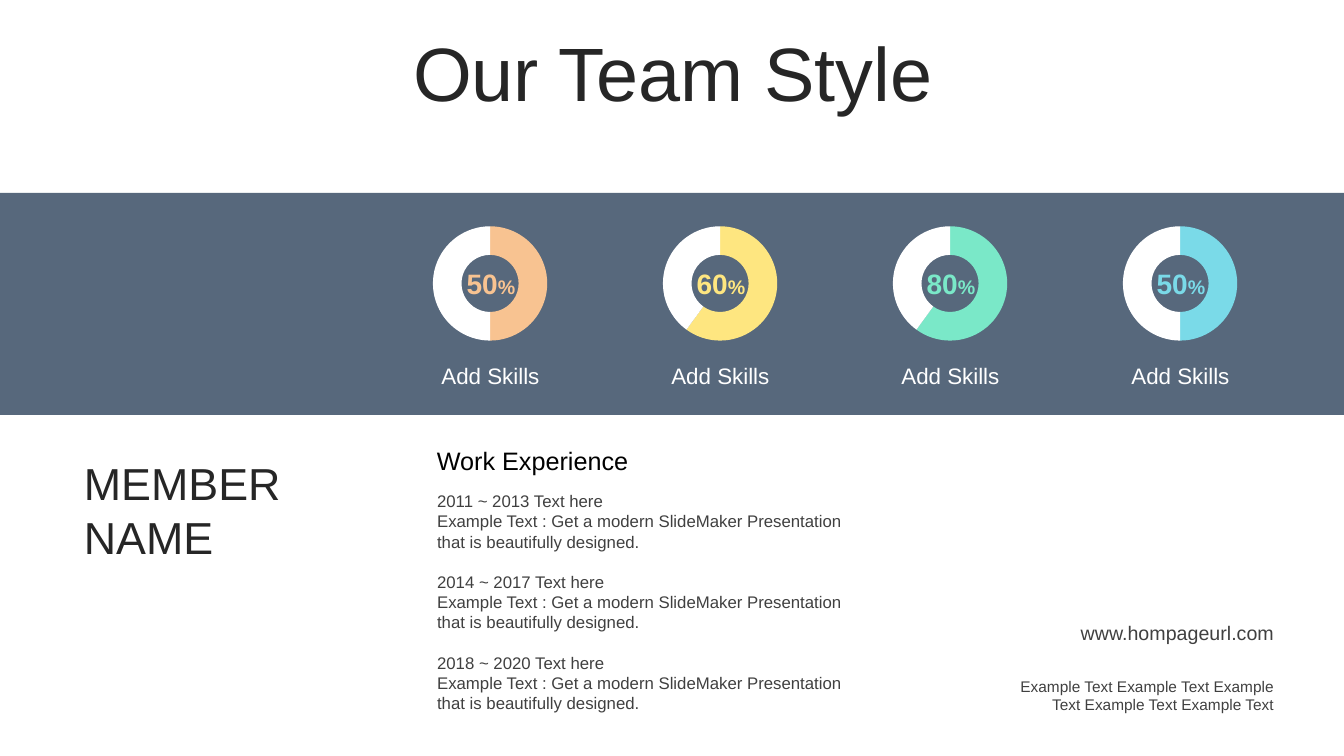
import lxml.etree
import pptx
import pptx.chart.data
import pptx.dml.color
import pptx.enum.chart
import pptx.enum.shapes
import pptx.enum.text
import pptx.oxml
import pptx.oxml.ns
import pptx.util

RGBColor = pptx.dml.color.RGBColor
ALIGN = pptx.enum.text.PP_ALIGN
ANCHOR = pptx.enum.text.MSO_ANCHOR
qn = pptx.oxml.ns.qn

SLATE = RGBColor(0x57, 0x68, 0x7C)
WHITE = RGBColor(0xFF, 0xFF, 0xFF)
BLACK = RGBColor(0x00, 0x00, 0x00)
INK = RGBColor(0x26, 0x26, 0x26)
GREY = RGBColor(0x40, 0x40, 0x40)
PEACH = RGBColor(0xF8, 0xC3, 0x91)
YELLOW = RGBColor(0xFE, 0xE6, 0x80)
MINT = RGBColor(0x7A, 0xE8, 0xC8)
SKY = RGBColor(0x7A, 0xDA, 0xE8)
FONT = "Arial"

# Content
TITLE = "Our Team Style"
SKILLS = [  # printed percentage, charted share, label, colour
    ("50", 50, "Add Skills", PEACH),
    ("60", 60, "Add Skills", YELLOW),
    ("80", 60, "Add Skills", MINT),
    ("50", 50, "Add Skills", SKY),
]
MEMBER = ["MEMBER", "NAME"]
HEADING = "Work Experience"
DETAIL = "Example Text : Get a modern SlideMaker Presentation that is beautifully designed."
PERIODS = ["2011 ~ 2013 Text here", "2014 ~ 2017 Text here", "2018 ~ 2020 Text here"]
ADDRESS = "www.hompageurl.com"
CLOSING = "Example Text Example Text Example Text Example Text Example Text"

# Layout in px
SLIDE_WIDTH, SLIDE_HEIGHT = 1344, 756
EMU_PER_PX = 12192000 / SLIDE_WIDTH
SKILL_STEP = 230
RING = (428, 224, 123, 119)
VALUE = (455, 261, 72, 44)
LABEL = (417, 362, 147, 27)


def place(left, top, width, height):
    return [pptx.util.Emu(round(px * EMU_PER_PX)) for px in (left, top, width, height)]


def shifted(area, index):
    return (area[0] + index * SKILL_STEP, *area[1:])


def write(box, paragraphs, size, color, align=ALIGN.LEFT, anchor=ANCHOR.TOP, bold=False,
          spacing=None, inset=True, group=None, gap=0):
    """Each paragraph is a string or a list of (text, size) spans."""
    frame = box.text_frame
    frame.word_wrap = True
    frame.auto_size = pptx.enum.text.MSO_AUTO_SIZE.NONE
    frame.vertical_anchor = anchor
    if not inset:
        frame.margin_left = frame.margin_right = frame.margin_top = frame.margin_bottom = 0
    for index, spans in enumerate(paragraphs):
        para = frame.add_paragraph() if index else frame.paragraphs[0]
        para.alignment = align
        starts_group = bool(group and index and index % group == 0)
        para.space_before = pptx.util.Pt(gap if starts_group else 0)
        if spacing:
            para.line_spacing = spacing
        if box.is_placeholder:
            properties = para._p.get_or_add_pPr()
            properties.set("marL", "0")
            properties.set("indent", "0")
            lxml.etree.SubElement(properties, qn("a:buNone"))
        for text, span_size in [(spans, size)] if isinstance(spans, str) else spans:
            span = para.add_run()
            span.text = text
            span.font.name = FONT
            span.font.size = pptx.util.Pt(span_size)
            span.font.bold = bold
            span.font.color.rgb = color


def add_text(page, area, paragraphs, size, color, **options):
    write(page.shapes.add_textbox(*place(*area)), paragraphs, size, color, **options)


def add_ring(page, area, share, color):
    data = pptx.chart.data.CategoryChartData()
    data.categories = ["1", "2"]
    data.add_series("Series 1", [share, 100 - share])
    kind = pptx.enum.chart.XL_CHART_TYPE.DOUGHNUT
    chart = page.shapes.add_chart(kind, *place(*area), data).chart
    chart.has_legend = False
    chart.has_title = False
    chart.font.name = FONT
    chart.font.size = pptx.util.Pt(18)
    chart.font.color.rgb = BLACK
    plot = chart.plots[0]
    plot.vary_by_categories = True
    for index, fill in enumerate((color, WHITE)):
        point = plot.series[0].points[index]
        point.format.fill.solid()
        point.format.fill.fore_color.rgb = fill
        point.format.line.fill.background()
    # Hole size and plot area position
    chart_space = chart._chartSpace
    chart_space.find(".//" + qn("c:holeSize")).set("val", "65")
    plot_area = chart_space.find(".//" + qn("c:plotArea"))
    layout = plot_area.find(qn("c:layout"))
    if layout is None:
        layout = lxml.etree.Element(qn("c:layout"))
        plot_area.insert(0, layout)
    manual = lxml.etree.SubElement(layout, qn("c:manualLayout"))
    settings = [("layoutTarget", "inner"), ("xMode", "edge"), ("yMode", "edge"),
                ("x", "0.04"), ("y", "0.02"), ("w", "0.93"), ("h", "1")]
    for name, value in settings:
        lxml.etree.SubElement(manual, qn("c:" + name)).set("val", value)


def main():
    deck = pptx.Presentation()
    deck.slide_width, deck.slide_height = place(0, 0, SLIDE_WIDTH, SLIDE_HEIGHT)[2:]
    page = deck.slides.add_slide(deck.slide_layouts[1])

    # Title
    title = page.shapes.title
    title.left, title.top, title.width, title.height = place(35, 37, 1276, 80)
    write(title, [TITLE], 54, INK, align=ALIGN.CENTER, anchor=ANCHOR.MIDDLE, spacing=0.9)

    # Band behind the skills
    band = page.shapes.add_shape(pptx.enum.shapes.MSO_SHAPE.RECTANGLE,
                                 *place(0, 193, SLIDE_WIDTH, 222))
    band.shadow.inherit = False
    band.fill.solid()
    band.fill.fore_color.rgb = SLATE
    band.line.fill.background()

    # Skill rings
    for index, (value, share, label, color) in enumerate(SKILLS):
        add_ring(page, shifted(RING, index), share, color)
        add_text(page, shifted(VALUE, index), [[(value, 20), ("%", 14)]], 20, color,
                 align=ALIGN.CENTER, anchor=ANCHOR.MIDDLE, bold=True, inset=False)
        add_text(page, shifted(LABEL, index), [label], 16, WHITE,
                 align=ALIGN.CENTER, inset=False)

    # Member name
    add_text(page, (74, 451, 259, 119), MEMBER, 32, INK, spacing=pptx.util.Pt(38.5))

    # Work experience
    add_text(page, (427, 440, 432, 40), [HEADING], 18, BLACK)
    body = page.placeholders[1]
    body.left, body.top, body.width, body.height = place(427, 486, 432, 234)
    entries = [line for period in PERIODS for line in (period, DETAIL)]
    write(body, entries, 12, GREY, spacing=pptx.util.Pt(14.4), group=2, gap=14.4)

    # Contact
    closing = {"align": ALIGN.RIGHT, "anchor": ANCHOR.MIDDLE}
    add_text(page, (1049, 616, 235, 34), [ADDRESS], 14, GREY, **closing)
    add_text(page, (981, 672, 303, 47), [CLOSING], 11, GREY, **closing)

    deck.save("out.pptx")


if __name__ == "__main__":
    main()
